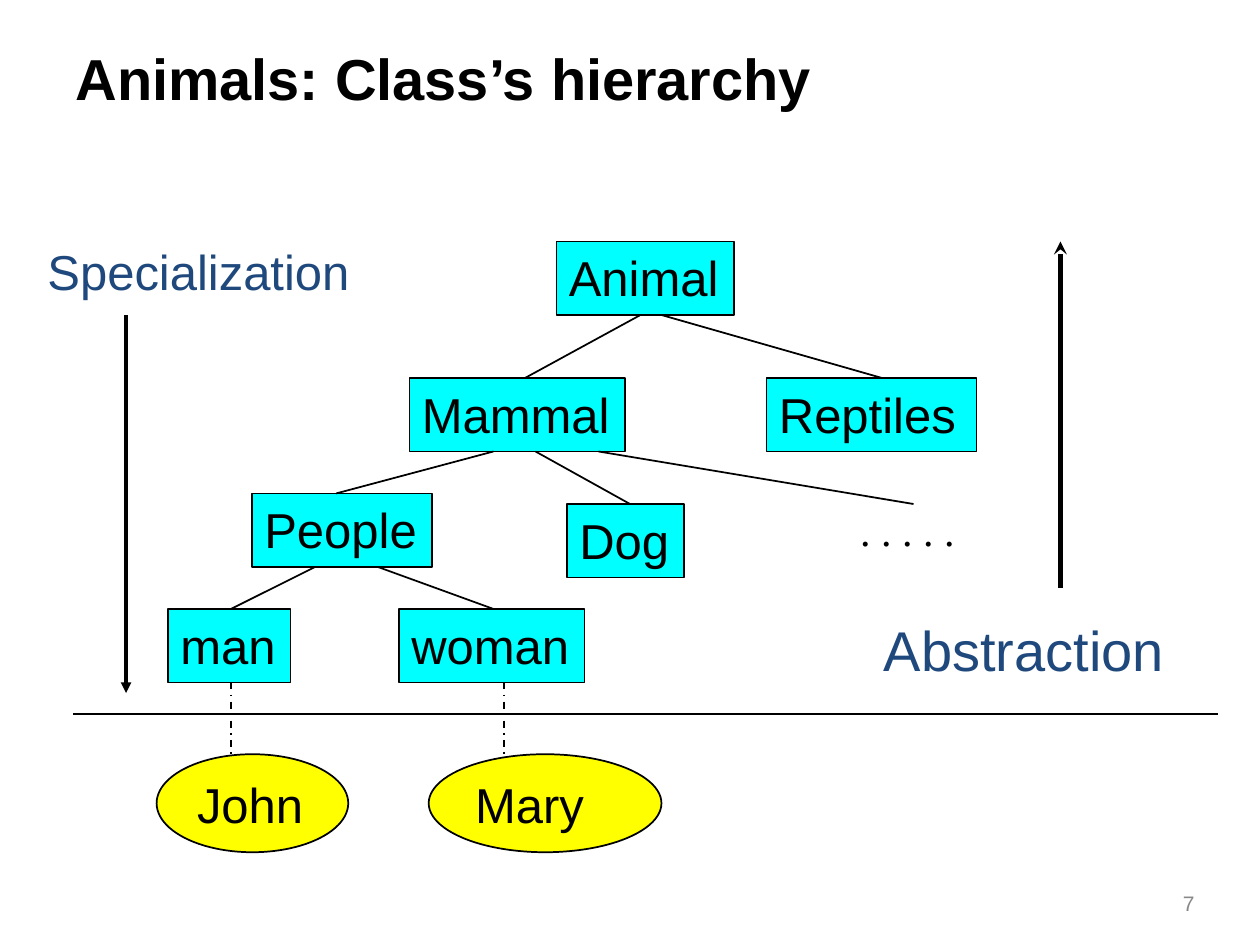
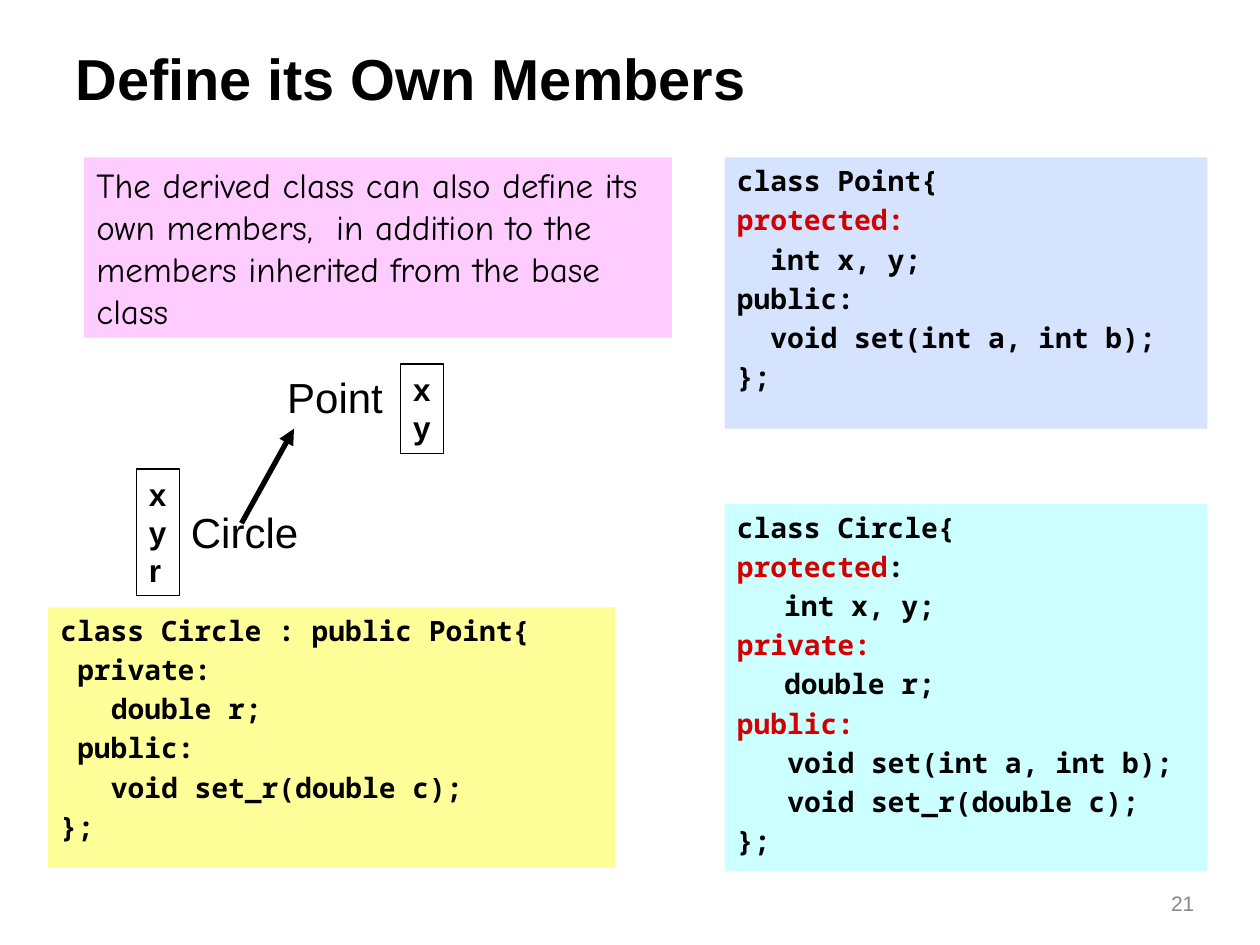
from lxml import etree
from pptx import Presentation
from pptx.dml.color import RGBColor
from pptx.enum.dml import MSO_LINE
from pptx.enum.shapes import MSO_CONNECTOR, MSO_SHAPE
from pptx.enum.text import MSO_ANCHOR, PP_ALIGN
from pptx.oxml.ns import qn
from pptx.util import Pt

RECT, OVAL = MSO_SHAPE.RECTANGLE, MSO_SHAPE.OVAL
LINE, DASH = MSO_CONNECTOR.STRAIGHT, MSO_LINE.DASH_DOT
LEFT, RIGHT = PP_ALIGN.LEFT, PP_ALIGN.RIGHT
TOP, MIDDLE = MSO_ANCHOR.TOP, MSO_ANCHOR.MIDDLE

HUES = {
    "ink": "000000", "navy": "1F497D", "grey": "888888", "red": "D20000",
    "cyan": "00FFFF", "yellow": "FFFF00", "blue": "D5E3FF",
    "cream": "FFFF99", "aqua": "CCFFFF", "pink": "FFCCFF",
}

# Text styles: font attributes
STYLES = {
    "title": {"name": "Arial", "size": Pt(33), "bold": True},
    "page": {"name": "Arial", "size": Pt(12)},
    "node": {"name": "Arial", "size": Pt(28)},
    "large": {"name": "Arial", "size": Pt(32)},
    "label": {"name": "Arial", "size": Pt(24)},
    "field": {"name": "Arial", "size": Pt(18), "bold": True},
    "dots": {"name": "Times New Roman", "size": Pt(24)},
    "note": {"name": "Comic Neue", "size": Pt(20)},
    "code": {"name": "Noto Sans Mono", "size": Pt(16), "bold": True},
}
CHAR = 9.6   # width of one code letter
TAB = 27     # tab step in code
NODE_H = 42


def hue(name):
    return RGBColor.from_string(HUES[name])


def apply(target, values):
    for key, value in values.items():
        setattr(target, key, value)


def write(shape, lines, style, color="ink", align=LEFT, anchor=TOP, gap=0):
    """Each line is a string or (indent, [(text, color), ...])."""
    frame = shape.text_frame
    apply(frame, {
        "word_wrap": True, "vertical_anchor": anchor,
        "margin_left": Pt(7.2), "margin_right": Pt(7.2),
        "margin_top": Pt(3.6), "margin_bottom": Pt(3.6),
    })
    for i, line in enumerate(lines):
        indent, runs = (0, [(line, color)]) if isinstance(line, str) else line
        para = frame.add_paragraph() if i else frame.paragraphs[0]
        para.alignment = align
        para.space_before = Pt(gap if i else 0)
        if indent:
            para._p.get_or_add_pPr().set("marL", str(Pt(indent)))
        for text, tint in runs:
            run = para.add_run()
            run.text = text
            apply(run.font, STYLES[style])
            run.font.color.rgb = hue(tint)


def label(slide, box, text, style, color="ink", **opts):
    shape = slide.shapes.add_textbox(*map(Pt, box))
    write(shape, [text], style, color, **opts)


def block(slide, box, lines, style, fill=None, line=0, kind=RECT, **opts):
    shape = slide.shapes.add_shape(kind, *map(Pt, box))
    shape.shadow.inherit = False
    if fill:
        shape.fill.solid()
        shape.fill.fore_color.rgb = hue(fill)
    else:
        shape.fill.background()
    if line:
        shape.line.color.rgb = hue("ink")
        shape.line.width = Pt(line)
    else:
        shape.line.fill.background()
    write(shape, lines, style, **opts)


def link(slide, start, end, width=1, dash=None, tip=None):
    wire = slide.shapes.add_connector(LINE, *map(Pt, (*start, *end)))
    wire.line.color.rgb = hue("ink")
    wire.line.width = Pt(width)
    if dash:
        wire.line.dash_style = dash
    if tip:
        tail = etree.SubElement(wire.line._get_or_add_ln(), qn("a:tailEnd"))
        tail.set("type", tip)
    etree.SubElement(wire._element.spPr, qn("a:effectLst"))


def page(deck, title, number):
    slide = deck.slides.add_slide(deck.slide_layouts[6])
    label(slide, (36, 11.5, 648, 65.5), title, "title", anchor=MIDDLE)
    label(slide, (632, 505.5, 57.6, 25), number, "page", "grey", align=RIGHT)
    return slide


def row(text, indent=0, color="ink"):
    return indent, [(text, color)]


def tree(deck):
    slide = page(deck, "Animals: Class’s hierarchy", "7")

    # Classes: left, top, width
    nodes = {
        "Animal": (318, 138, 101.5),
        "Mammal": (234, 216, 123),
        "Reptiles": (438, 216, 120),
        "People": (144, 282, 103),
        "Dog": (324, 288, 67),
        "man": (96, 348, 70),
        "woman": (228, 348, 106),
    }
    for name, box in nodes.items():
        block(slide, (*box, NODE_H), [name], "node", "cyan", 1)

    # Branches: parent, start x, end point
    for name, x, end in [
        ("Animal", 366, (300, 216)), ("Animal", 378, (504, 216)),
        ("Mammal", 282, (192, 282)), ("Mammal", 306, (360, 288)),
        ("Mammal", 342, (522, 288)),
        ("People", 180, (132, 348)), ("People", 216, (282, 348)),
    ]:
        link(slide, (x, nodes[name][1] + NODE_H), end)
    label(slide, (484.5, 285, 72, 36), ". . . . .", "dots")

    # Objects below the dividing line
    for name, left, width, x in [("John", 89.5, 109.5, 132),
                                 ("Mary", 245, 133, 288)]:
        block(slide, (left, 431, width, 56), [name], "node", "yellow", 1, OVAL)
        link(slide, (x, 390), (x, 432), dash=DASH)
    link(slide, (42, 408), (696, 408))

    # Directions
    link(slide, (72, 180), (72, 396), 2, tip="triangle")
    label(slide, (20, 134.5, 190, 41), "Specialization", "node", "navy")
    link(slide, (606, 336), (606, 138), 2.5, tip="stealth")
    label(slide, (498, 348, 176, 46), "Abstraction", "large", "navy")


def members(deck):
    slide = page(deck, "Define its Own Members", "21")

    # Inheritance sketch
    label(slide, (157, 209, 70, 36), "Point", "label")
    label(slide, (102, 286, 76.5, 36), "Circle", "label")
    block(slide, (229, 208, 24.5, 51), ["x", "y"], "field", line=0.75)
    block(slide, (78, 268, 24.5, 72.5), ["x", "y", "r"], "field", line=0.75)
    link(slide, (138, 299), (168, 245), 3, tip="triangle")

    # Code panels
    point = [
        "class Point{",
        row("protected:", color="red"),
        row("int x, y;", 2 * CHAR),
        "public:",
        row("void set(int a, int b);", 2 * CHAR),
        "};",
    ]
    derived = [
        "class Circle : public Point{",
        row("private:", CHAR),
        row("double r;", 3 * CHAR),
        row("public:", CHAR),
        row("void set_r(double c);", 3 * CHAR),
        "};",
    ]
    circle = [
        "class Circle{",
        (0, [("protected", "red"), (":", "ink")]),
        row("int x, y;", TAB),
        row("private:", color="red"),
        row("double r;", TAB),
        row("public:", color="red"),
        row("void set(int a, int b);", 3 * CHAR),
        row("void set_r(double c);", 3 * CHAR),
        "};",
    ]
    for box, lines, fill in [
        ((414, 90, 276, 155), point, "blue"),
        ((27.5, 347, 324, 149), derived, "cream"),
        ((414, 288, 276, 210), circle, "aqua"),
    ]:
        block(slide, box, lines, "code", fill, gap=3.2)

    # Explanation
    note = ("The derived class can also define its own members,  in addition "
            "to the members inherited from the base class")
    block(slide, (48, 90, 336, 103), [note], "note", "pink")


def main():
    deck = Presentation()
    deck.slide_width, deck.slide_height = Pt(720), Pt(540)
    tree(deck)
    members(deck)
    deck.save("out.pptx")


if __name__ == "__main__":
    main()
